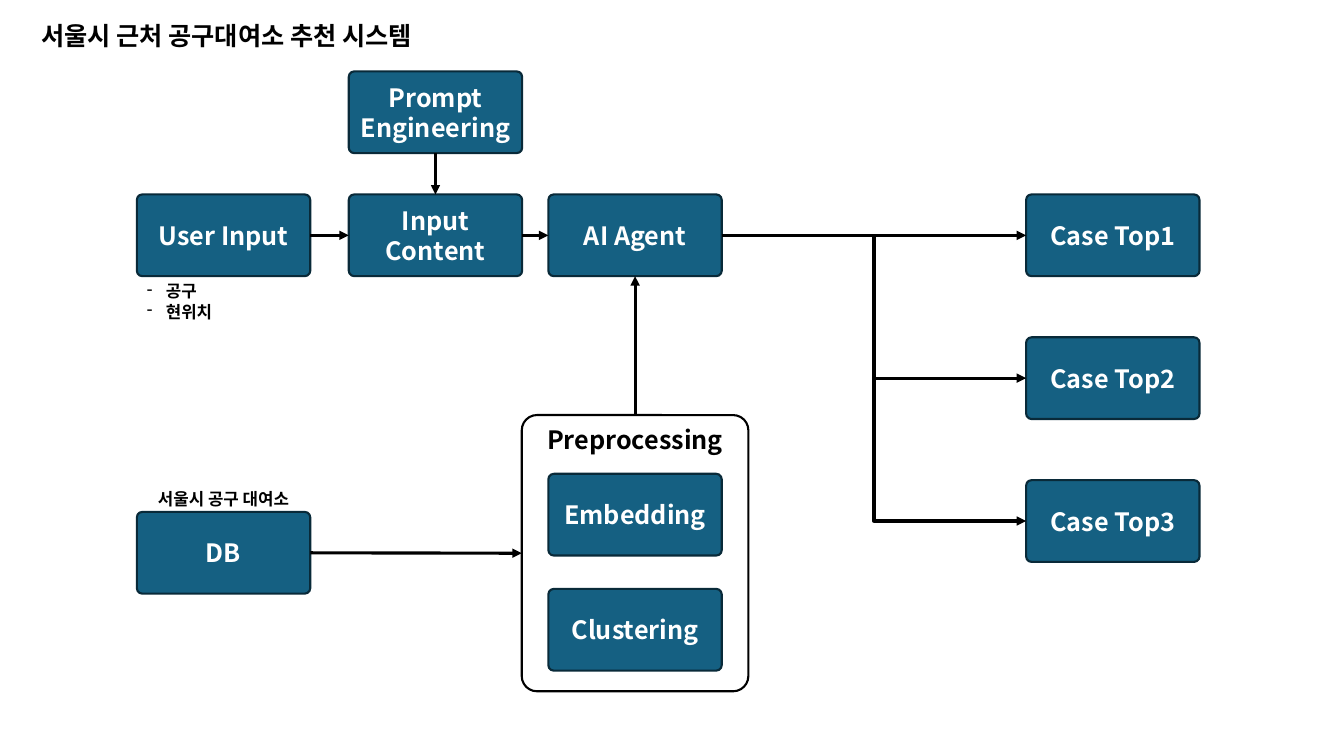
from lxml import etree
from pptx import Presentation
from pptx.dml.color import RGBColor
from pptx.enum import shapes, text
from pptx.oxml.ns import qn
from pptx.util import Cm, Pt

FONT = "Noto Sans CJK KR"
BOX_W, BOX_H = 4.37, 2.06
COLUMNS = {"source": 3.45, "content": 8.79, "agent": 13.82, "case": 25.86}
MAIN_ROW = 4.9
TOP, LEFT, BOTTOM, RIGHT = range(4)
STRAIGHT, ELBOW = shapes.MSO_CONNECTOR.STRAIGHT, shapes.MSO_CONNECTOR.ELBOW


def color(value):
    """Return the colour for a hex string."""
    return RGBColor.from_string(value)


def write(frame, lines, size, ink, align, frame_format):
    """Fill a text frame with bold lines."""
    for name, value in frame_format.items():
        setattr(frame, name, value)
    frame.text = "\n".join(lines)
    for paragraph in frame.paragraphs:
        paragraph.alignment = align
        font = paragraph.runs[0].font
        for name, value in {"name": FONT, "size": Pt(size), "bold": True}.items():
            setattr(font, name, value)
        font.color.rgb = color(ink)
        east_asian = etree.SubElement(paragraph.runs[0]._r.rPr, qn("a:ea"))
        east_asian.set("typeface", FONT)


def add_box(slide, label, left, top, width=BOX_W, height=BOX_H, fill="156082",
            line="092A39", ink="FFFFFF", anchor=text.MSO_ANCHOR.MIDDLE):
    """Draw a labelled rounded box."""
    box = slide.shapes.add_shape(shapes.MSO_SHAPE.ROUNDED_RECTANGLE,
                                 Cm(left), Cm(top), Cm(width), Cm(height))
    box.adjustments[0] = 0.067
    box.shadow.inherit = False
    if fill:
        box.fill.solid()
        box.fill.fore_color.rgb = color(fill)
    else:
        box.fill.background()
    box.line.color.rgb = color(line)
    box.line.width = Pt(1.5)
    write(box.text_frame, [label], 18, ink, text.PP_ALIGN.CENTER,
          {"word_wrap": True, "vertical_anchor": anchor,
           "margin_left": Cm(0.2), "margin_right": Cm(0.2)})
    return box


def add_note(slide, lines, left, top, width, height, size=12,
             align=text.PP_ALIGN.LEFT):
    """Place a free-standing text and return its frame."""
    note = slide.shapes.add_textbox(Cm(left), Cm(top), Cm(width), Cm(height))
    write(note.text_frame, lines, size, "000000", align,
          {"word_wrap": True, "auto_size": text.MSO_AUTO_SIZE.SHAPE_TO_FIT_TEXT})
    return note.text_frame


def add_arrow(slide, start, start_side, end, end_side, kind=STRAIGHT):
    """Join two boxes with an arrow."""
    arrow = slide.shapes.add_connector(kind, 0, 0, 0, 0)
    arrow.begin_connect(start, start_side)
    arrow.end_connect(end, end_side)
    arrow.line.color.rgb = color("000000")
    arrow.line.width = Pt(2.25)
    etree.SubElement(arrow.line._get_or_add_ln(), qn("a:tailEnd")).set("type", "triangle")
    etree.SubElement(arrow._element.spPr, qn("a:effectLst"))


def add_input_flow(slide, top):
    """Draw the user input, its prompt and the agent; return the agent."""
    user = add_box(slide, "User Input", COLUMNS["source"], top)
    content = add_box(slide, "Input Content", COLUMNS["content"], top)
    agent = add_box(slide, "AI Agent", COLUMNS["agent"], top)
    prompt = add_box(slide, "Prompt Engineering", COLUMNS["content"], top - 3.1)
    add_arrow(slide, user, RIGHT, content, LEFT)
    add_arrow(slide, content, RIGHT, agent, LEFT)
    add_arrow(slide, prompt, BOTTOM, content, TOP)
    fields = add_note(slide, ["공구", "현위치"], COLUMNS["source"], top + BOX_H, BOX_W, 1.28)
    for field in fields.paragraphs:
        properties = field._p.get_or_add_pPr()
        properties.set("marL", str(Cm(0.48)))
        properties.set("indent", str(-Cm(0.48)))
        etree.SubElement(properties, qn("a:buChar")).set("char", "-")
    return agent


def add_preprocessing(slide, left, top, width, height):
    """Draw the preprocessing panel with its steps."""
    panel = add_box(slide, "Preprocessing", left, top, width, height, fill=None,
                    line="000000", ink="000000", anchor=text.MSO_ANCHOR.TOP)
    for index, step in enumerate(["Embedding", "Clustering"]):
        add_box(slide, step, left + (width - BOX_W) / 2, top + 1.48 + 2.9 * index)
    return panel


def add_database(slide, left, top):
    """Draw the database box with its caption."""
    add_note(slide, ["서울시 공구 대여소"], left, top - 0.71, BOX_W, 0.77,
             align=text.PP_ALIGN.CENTER)
    return add_box(slide, "DB", left, top)


def add_cases(slide, agent, left, top):
    """Draw the recommended cases and the arrows that reach them."""
    for index in range(3):
        case = add_box(slide, f"Case Top{index + 1}", left, top + 3.6 * index)
        add_arrow(slide, agent, RIGHT, case, LEFT, ELBOW if index else STRAIGHT)


def main():
    """Build the slide and save it."""
    deck = Presentation()
    deck.slide_width, deck.slide_height = Cm(33.87), Cm(19.05)
    slide = deck.slides.add_slide(deck.slide_layouts[6])
    add_note(slide, ["서울시 근처 공구대여소 추천 시스템"], 0.79, 0.38, 12.57, 1.03, size=18)
    agent = add_input_flow(slide, MAIN_ROW)
    preprocessing = add_preprocessing(slide, 13.15, 10.46, 5.71, 6.96)
    database = add_database(slide, COLUMNS["source"], 12.9)
    add_arrow(slide, database, RIGHT, preprocessing, LEFT)
    add_arrow(slide, preprocessing, TOP, agent, BOTTOM)
    add_cases(slide, agent, COLUMNS["case"], MAIN_ROW)
    deck.save("out.pptx")


if __name__ == "__main__":
    main()
